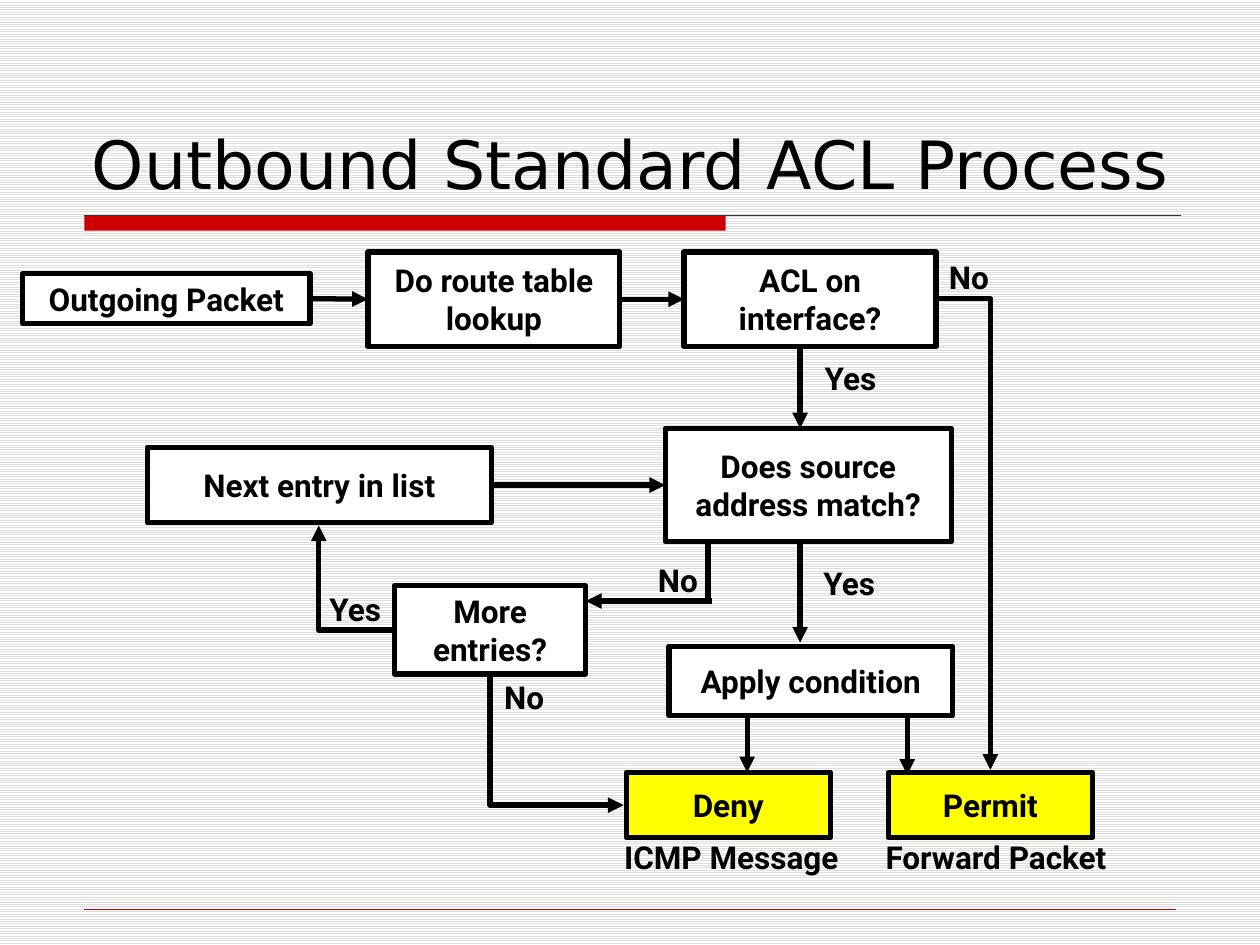
import pptx
import pptx.util
import pptx.dml.color
import pptx.enum.dml
import pptx.enum.shapes
import pptx.enum.text
import pptx.oxml
import pptx.oxml.ns
from pptx.util import Inches

COLORS = {"ink": "000000", "paper": "FFFFFF", "stripe": "DDDDDD",
          "accent": "CC0000", "rule": "333333", "result": "FFFF00"}
TITLE = "Outbound Standard ACL Process"
TITLE_FONT, BODY_FONT = "DejaVu Sans", "Roboto"

# name: (text, left, top, width, height, fill)
STEPS = {
    "packet": ("Outgoing Packet", 0.18, 2.17, 2.28, 0.4, "paper"),
    "route": ("Do route table lookup", 2.92, 2, 2, 0.75, "paper"),
    "acl": ("ACL on interface?", 5.43, 2, 2, 0.75, "paper"),
    "match": ("Does source address match?", 5.28, 3.4, 2.27, 0.9, "paper"),
    "next": ("Next entry in list", 1.17, 3.55, 2.73, 0.6, "paper"),
    "more": ("More entries?", 3.13, 4.65, 1.52, 0.7, "paper"),
    "apply": ("Apply condition", 5.31, 5.13, 2.25, 0.55, "paper"),
    "permit": ("Permit", 7.05, 6.13, 1.62, 0.52, "result"),
    "deny": ("Deny", 4.97, 6.13, 1.62, 0.52, "result"),
}
# Steps joined from right side to left side
JOINS = [("packet", "route"), ("route", "acl"), ("next", "match")]
# (start, end, arrowhead element or None)
STRAIGHT_LINES = [
    ((5.62, 4.32), (5.62, 4.77), None),
    ((5.65, 4.77), (4.65, 4.77), "tailEnd"),
    ((5.93, 5.68), (5.93, 6.13), "tailEnd"),
    ((7.2, 5.68), (7.2, 6.15), "tailEnd"),
    ((6.35, 2.75), (6.35, 3.4), "tailEnd"),
    ((6.35, 4.3), (6.35, 5.1), "tailEnd"),
]
# Each runs sideways first, then up or down
ELBOWS = [
    ((7.45, 2.37), (7.86, 6.11), "tailEnd"),
    ((3.11, 5), (2.53, 4.17), "tailEnd"),
    ((4.95, 6.39), (3.89, 5.37), "headEnd"),
]
ANSWERS = [("No", 5.02, 4.4), ("No", 3.8, 5.33), ("No", 7.33, 2),
           ("Yes", 2.46, 4.63), ("Yes", 6.38, 4.43), ("Yes", 6.39, 2.8)]
OUTCOMES = [("ICMP Message", 4.78, 6.65), ("Forward Packet", 6.88, 6.65)]

CONNECTOR = pptx.enum.shapes.MSO_CONNECTOR


def rgb(name):
    return pptx.dml.color.RGBColor.from_string(COLORS[name])


def write(shape, text, size=18, font=BODY_FONT, bold=True,
          align=pptx.enum.text.PP_ALIGN.CENTER):
    frame = shape.text_frame
    frame.word_wrap = True
    frame.text = text
    para = frame.paragraphs[0]
    para.alignment = align
    para.font.size = pptx.util.Pt(size)
    para.font.name = font
    para.font.bold = bold
    para.font.color.rgb = rgb("ink")
    return frame


def add_box(slide, left, top, width, height, fill):
    box = slide.shapes.add_shape(pptx.enum.shapes.MSO_SHAPE.RECTANGLE,
                                 *map(Inches, (left, top, width, height)))
    box.shadow.inherit = False
    box.fill.solid()
    box.fill.fore_color.rgb = rgb(fill)
    return box


def add_step(slide, text, left, top, width, height, fill):
    box = add_box(slide, left, top, width, height, fill)
    box.line.color.rgb = rgb("ink")
    box.line.width = pptx.util.Pt(3)
    write(box, text).vertical_anchor = pptx.enum.text.MSO_ANCHOR.MIDDLE
    return box


def add_line(slide, start, end, arrow=None, kind=CONNECTOR.STRAIGHT,
             color="ink", width=3):
    line = slide.shapes.add_connector(kind, *map(Inches, (*start, *end)))
    line.line.color.rgb = rgb(color)
    line.line.width = pptx.util.Pt(width)
    properties = line._element.spPr
    if kind == CONNECTOR.ELBOW:
        properties.find(pptx.oxml.ns.qn("a:prstGeom")).set("prst", "bentConnector2")
    if arrow:
        head = f'<a:{arrow} {pptx.oxml.ns.nsdecls("a")} type="triangle"/>'
        line.line._get_or_add_ln().append(pptx.oxml.parse_xml(head))
    properties.append(pptx.oxml.parse_xml(
        f'<a:effectLst {pptx.oxml.ns.nsdecls("a")}/>'))
    return line


def add_label(slide, text, left, top, width, height):
    label = slide.shapes.add_textbox(*map(Inches, (left, top, width, height)))
    return write(label, text)


def add_frame(slide):
    """Set the background, title and rules around the flowchart."""
    fill = slide.background.fill
    fill.patterned()
    fill.pattern = pptx.enum.dml.MSO_PATTERN.LIGHT_HORIZONTAL
    fill.fore_color.rgb = rgb("stripe")
    fill.back_color.rgb = rgb("paper")

    add_box(slide, 0.67, 1.71, 5.09, 0.12, "accent").line.fill.background()
    add_line(slide, (0.67, 1.71), (9.37, 1.71), color="rule", width=0.75)
    add_line(slide, (0.67, 7.22), (9.33, 7.22), color="accent", width=0.25)

    title = slide.shapes.title
    title.left, title.top, title.width, title.height = map(
        Inches, (0.63, 0.33, 9.1, 1.33))
    frame = write(title, TITLE, 38, TITLE_FONT, False,
                  pptx.enum.text.PP_ALIGN.LEFT)
    frame.vertical_anchor = pptx.enum.text.MSO_ANCHOR.BOTTOM
    frame.auto_size = pptx.enum.text.MSO_AUTO_SIZE.NONE


def main():
    deck = pptx.Presentation()
    deck.slide_width, deck.slide_height = Inches(10), Inches(7.5)
    slide = deck.slides.add_slide(deck.slide_layouts[5])
    add_frame(slide)

    boxes = {name: add_step(slide, *step) for name, step in STEPS.items()}
    for source, target in JOINS:
        line = add_line(slide, (0, 0), (1, 1), "tailEnd")
        line.begin_connect(boxes[source], 3)
        line.end_connect(boxes[target], 1)
    for start, end, arrow in STRAIGHT_LINES:
        add_line(slide, start, end, arrow)
    for start, end, arrow in ELBOWS:
        add_line(slide, start, end, arrow, CONNECTOR.ELBOW)

    for text, left, top in ANSWERS:
        add_label(slide, text, left, top, 0.72, 0.4)
    for text, left, top in OUTCOMES:
        frame = add_label(slide, text, left, top, 2.05, 0.3)
        frame.margin_left = frame.margin_right = 0
        frame.margin_top = frame.margin_bottom = 0

    deck.save("out.pptx")


if __name__ == "__main__":
    main()
